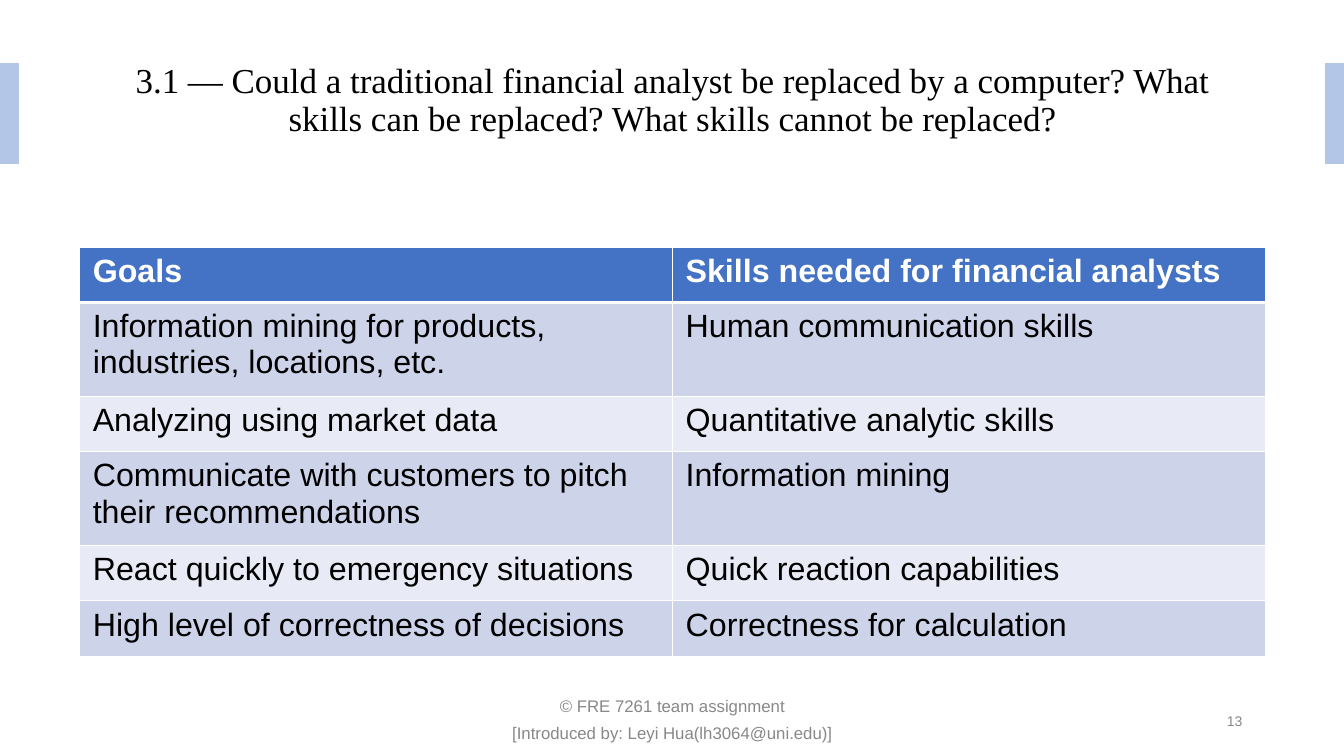
import dataclasses

import lxml.etree
import pptx
import pptx.dml.color
import pptx.enum.shapes
import pptx.enum.text
import pptx.oxml.ns
import pptx.util

Inches = pptx.util.Inches
Pt = pptx.util.Pt
ALIGN = pptx.enum.text.PP_ALIGN
ANCHOR = pptx.enum.text.MSO_ANCHOR


@dataclasses.dataclass(frozen=True)
class Theme:
    """Colours, fonts and type sizes of the slide."""
    ink: str = "000000"
    white: str = "FFFFFF"
    muted: str = "888888"
    accent: str = "B3C6E7"
    header: str = "4472C4"
    bands: tuple = ("CDD4EA", "E8EBF5")
    title_font: str = "Times New Roman"
    body_font: str = "Arial"
    title_size: int = 25
    table_size: int = 23
    footer_size: int = 12
    number_size: int = 10


THEME = Theme()
SLIDE_W, SLIDE_H = 13.33, 7.5
TITLE = ("3.1 — Could a traditional financial analyst be replaced by a computer? "
         "What skills can be replaced? What skills cannot be replaced?")
FOOTER = ["© FRE 7261 team assignment", "[Introduced by: Leyi Hua(lh3064@uni.edu)]"]
ROWS = [
    ("Goals", "Skills needed for financial analysts"),
    ("Information mining for products, industries, locations, etc.", "Human communication skills"),
    ("Analyzing using market data", "Quantitative analytic skills"),
    ("Communicate with customers to pitch their recommendations", "Information mining"),
    ("React quickly to emergency situations", "Quick reaction capabilities"),
    ("High level of correctness of decisions", "Correctness for calculation"),
]
ROW_HEIGHTS = [0.55, 0.93, 0.55, 0.93, 0.55, 0.55]
COLUMN_W = 5.88


def rgb(value):
    """Turn a hex string into a colour."""
    return pptx.dml.color.RGBColor.from_string(value)


def style(p, size, color, font=THEME.body_font, bold=False, align=None):
    """Format a whole paragraph."""
    p.font.size, p.font.name, p.font.bold = Pt(size), font, bold
    p.font.color.rgb = rgb(color)
    p.alignment = align


def add_title(s, text):
    """Place the title placeholder and fill it."""
    sp = s.shapes.title
    sp.left, sp.top, sp.width, sp.height = map(Inches, (0.91, 0.54, 11.52, 0.89))
    tf = sp.text_frame
    tf.text = text
    tf.word_wrap = True
    tf.auto_size = pptx.enum.text.MSO_AUTO_SIZE.NONE
    tf.vertical_anchor = ANCHOR.BOTTOM
    p = tf.paragraphs[0]
    style(p, THEME.title_size, THEME.ink, THEME.title_font, align=ALIGN.CENTER)
    p.line_spacing = 0.9


def add_footer_text(s, left, width, lines, size, align, spacing):
    """Add muted text in the footer band."""
    sp = s.shapes.add_textbox(Inches(left), Inches(6.95), Inches(width), Inches(0.4))
    tf = sp.text_frame
    tf.word_wrap = True
    tf.vertical_anchor = ANCHOR.MIDDLE
    tf.text = "\n".join(lines)
    for p in tf.paragraphs:
        style(p, size, THEME.muted, align=align)
        p.line_spacing = spacing
    for p in tf.paragraphs[1:]:
        p.space_before = p.space_after = Pt(6)


def add_side_bar(s, left):
    """Add an accent bar at a slide edge."""
    sp = s.shapes.add_shape(pptx.enum.shapes.MSO_SHAPE.RECTANGLE,
                            Inches(left), Inches(0.63), Inches(0.18), Inches(0.99))
    sp.shadow.inherit = False
    sp.fill.solid()
    sp.fill.fore_color.rgb = sp.line.color.rgb = rgb(THEME.accent)
    sp.line.width = Pt(1)


def set_borders(cell, top, bottom):
    """Draw white cell borders, with top and bottom widths in points."""
    tc_pr = cell._tc.get_or_add_tcPr()
    qn = pptx.oxml.ns.qn
    widths = {"a:lnL": 1, "a:lnR": 1, "a:lnT": top, "a:lnB": bottom}
    for i, (tag, width) in enumerate(widths.items()):
        ln = lxml.etree.Element(qn(tag), w=str(Pt(width)))
        fill = lxml.etree.SubElement(ln, qn("a:solidFill"))
        lxml.etree.SubElement(fill, qn("a:srgbClr"), val=THEME.white)
        tc_pr.insert(i, ln)


def fill_cell(cell, text, row):
    """Write and format one table cell according to its row."""
    is_header = row == 0
    cell.text = text
    cell.margin_left = cell.margin_right = Inches(0.13)
    cell.margin_top = cell.margin_bottom = Inches(0.06)
    cell.fill.solid()
    cell.fill.fore_color.rgb = rgb(THEME.header if is_header else THEME.bands[(row - 1) % 2])
    style(cell.text_frame.paragraphs[0], THEME.table_size,
          THEME.white if is_header else THEME.ink, bold=is_header)
    set_borders(cell, top=3 if row == 1 else 1, bottom=3 if is_header else 1)


def add_skills_table(s):
    """Add the table of goals and skills."""
    columns = len(ROWS[0])
    table = s.shapes.add_table(len(ROWS), columns, Inches(0.79), Inches(2.45),
                               Inches(COLUMN_W * columns), Inches(sum(ROW_HEIGHTS))).table
    for column in table.columns:
        column.width = Inches(COLUMN_W)
    for i, (texts, height) in enumerate(zip(ROWS, ROW_HEIGHTS)):
        table.rows[i].height = Inches(height)
        for j, text in enumerate(texts):
            fill_cell(table.cell(i, j), text, i)


def main():
    """Build and save the slide."""
    prs = pptx.Presentation()
    prs.slide_width, prs.slide_height = Inches(SLIDE_W), Inches(SLIDE_H)
    s = prs.slides.add_slide(prs.slide_layouts.get_by_name("Title Only"))
    add_title(s, TITLE)
    add_footer_text(s, 4.42, 4.5, FOOTER, THEME.footer_size, ALIGN.CENTER, 0.9)
    add_footer_text(s, 9.42, 3, ["13"], THEME.number_size, ALIGN.RIGHT, 1.0)
    for left in (0, SLIDE_W - 0.18):
        add_side_bar(s, left)
    add_skills_table(s)
    prs.save("out.pptx")


main()
